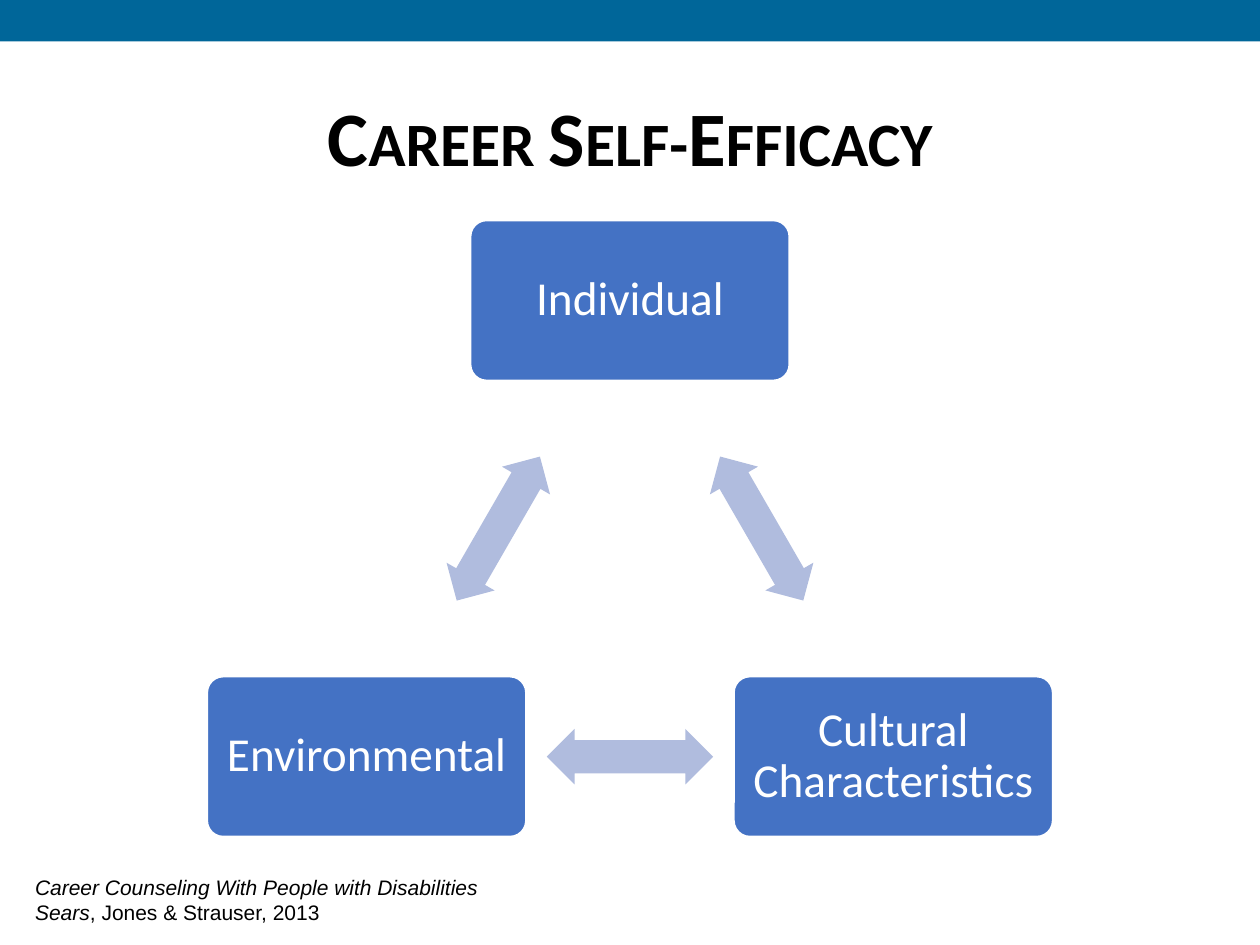
from pptx import Presentation
from pptx import util as u
from pptx.dml.color import RGBColor
from pptx.enum import shapes, text

COLORS = {"band": "006699", "box": "4472C4", "arrow": "B0BCDE",
          "white": "FFFFFF", "black": "000000"}
COLUMNS, ROWS = 100, 75  # grid cells of 0.1 inch


class SlideBuilder:
    """Holds the style and the current slide; places are in grid cells."""

    heading_font, note_font = "Calibri", "Arial"
    box_size, arrow_size = (25.3, 12.7), (13.2, 4.4)

    def __init__(self, deck):
        self.column = deck.slide_width / COLUMNS
        self.row = deck.slide_height / ROWS
        self.page = deck.slides.add_slide(deck.slide_layouts[5])

    def place(self, left, top, width, height):
        return (round(left * self.column), round(top * self.row),
                round(width * self.column), round(height * self.row))

    def centered(self, center, size):
        return (center[0] - size[0] / 2, center[1] - size[1] / 2, *size)

    def format(self, span, font, size, color, **flags):
        span.font.name, span.font.size = font, u.Pt(size)
        span.font.color.rgb = RGBColor.from_string(COLORS[color])
        for flag, value in flags.items():
            setattr(span.font, flag, value)

    def shape(self, kind, cells, fill):
        shape = self.page.shapes.add_shape(kind, *self.place(*cells))
        shape.shadow.inherit = False
        shape.fill.solid()
        shape.fill.fore_color.rgb = RGBColor.from_string(COLORS[fill])
        shape.line.fill.background()
        return shape

    def title(self, wording, cells):
        title = self.page.shapes.title
        title.left, title.top, title.width, title.height = self.place(*cells)
        frame = title.text_frame
        frame.text = wording
        frame.vertical_anchor = text.MSO_ANCHOR.MIDDLE
        para = frame.paragraphs[0]
        para.alignment, para.line_spacing = text.PP_ALIGN.CENTER, 0.9
        span = para.runs[0]
        self.format(span, self.heading_font, 44, "black", bold=True)
        span._r.get_or_add_rPr().set("cap", "small")

    def box(self, wording, center):
        box = self.shape(shapes.MSO_SHAPE.ROUNDED_RECTANGLE,
                         self.centered(center, self.box_size), "box")
        box.adjustments[0] = 0.1
        box.line.color.rgb = RGBColor.from_string(COLORS["white"])
        box.line.width = u.Pt(1)
        frame = box.text_frame
        frame.text = wording
        frame.word_wrap = True
        frame.vertical_anchor = text.MSO_ANCHOR.MIDDLE
        # The rounded corners already inset the text area
        frame.margin_left = frame.margin_right = u.Inches(0.05)
        para = frame.paragraphs[0]
        para.alignment, para.line_spacing = text.PP_ALIGN.CENTER, 0.9
        self.format(para.runs[0], self.heading_font, 27, "white")

    def arrow(self, start, end, rotation):
        middle = ((start[0] + end[0]) / 2, (start[1] + end[1]) / 2)
        arrow = self.shape(shapes.MSO_SHAPE.LEFT_RIGHT_ARROW,
                           self.centered(middle, self.arrow_size), "arrow")
        arrow.adjustments[0], arrow.adjustments[1] = 0.6, 0.5
        arrow.rotation = rotation

    def citation(self, italic_part, plain_part, cells):
        box = self.page.shapes.add_textbox(*self.place(*cells))
        box.text_frame.word_wrap = True
        para = box.text_frame.paragraphs[0]
        para.text = italic_part
        for span in para.runs:
            self.format(span, self.note_font, 12, "black", italic=True)
        span = para.add_run()
        span.text = plain_part
        self.format(span, self.note_font, 12, "black", italic=False)


def main():
    deck = Presentation()
    deck.slide_width, deck.slide_height = u.Inches(10), u.Inches(7.5)
    builder = SlideBuilder(deck)

    # Top band, title and source
    builder.shape(shapes.MSO_SHAPE.RECTANGLE, (0, 0, COLUMNS, 3.3), "band")
    builder.title("Career Self-Efficacy", (7.5, 5, 85, 12.5))
    builder.citation("Career Counseling With People with Disabilities\vSears",
                     ", Jones & Strauser, 2013", (1.8, 68.9, 66.1, 5))

    # Triangle of factors, clockwise from the top
    factors = {"Individual": (50, 23.85),
               "Cultural Characteristics": (70.9, 60.05),
               "Environmental": (29.1, 60.05)}
    centers = list(factors.values())
    for index, (factor, center) in enumerate(factors.items()):
        builder.box(factor, center)
        following = centers[(index + 1) % len(centers)]
        builder.arrow(center, following, 60 + 120 * index)

    deck.save("out.pptx")


if __name__ == "__main__":
    main()
